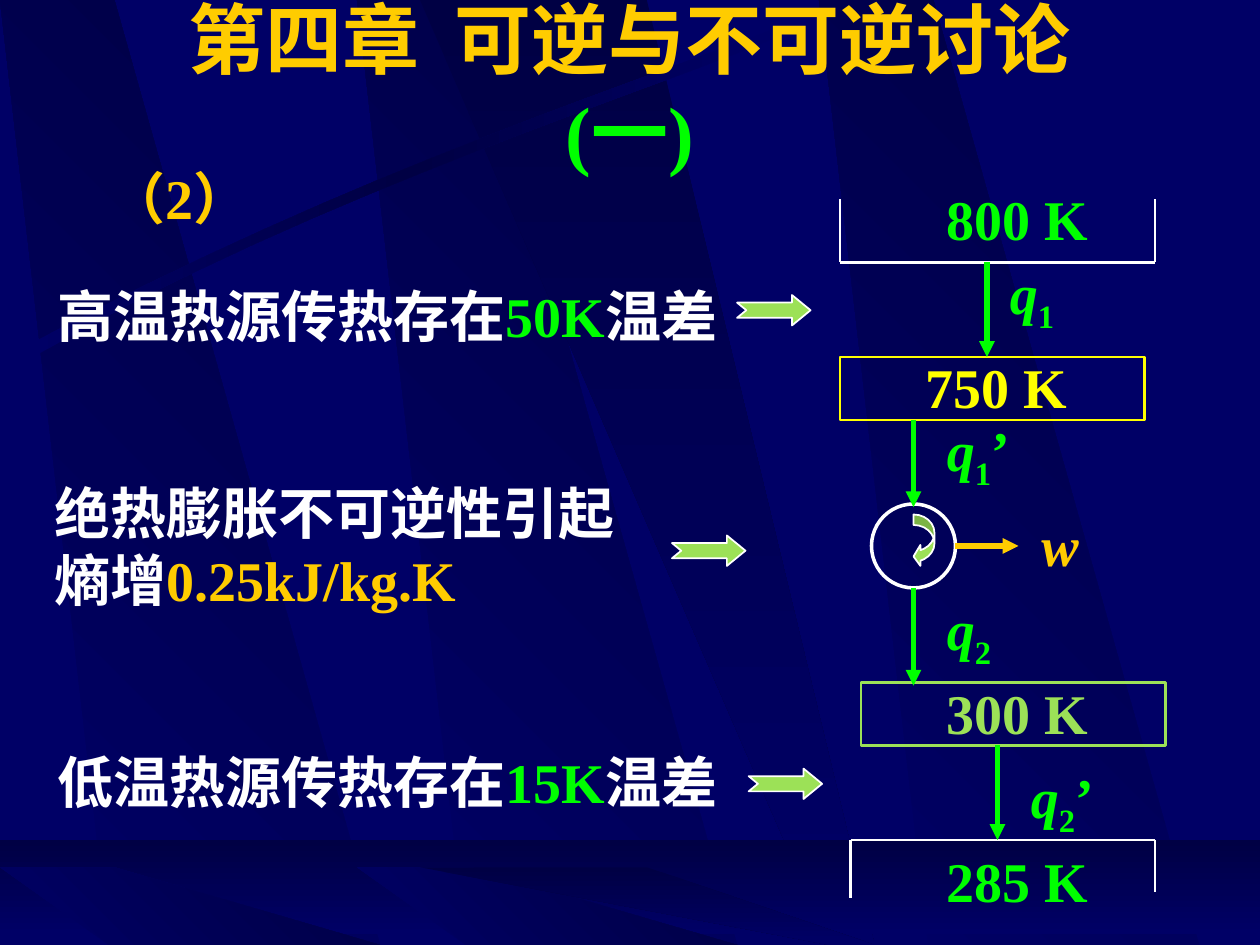
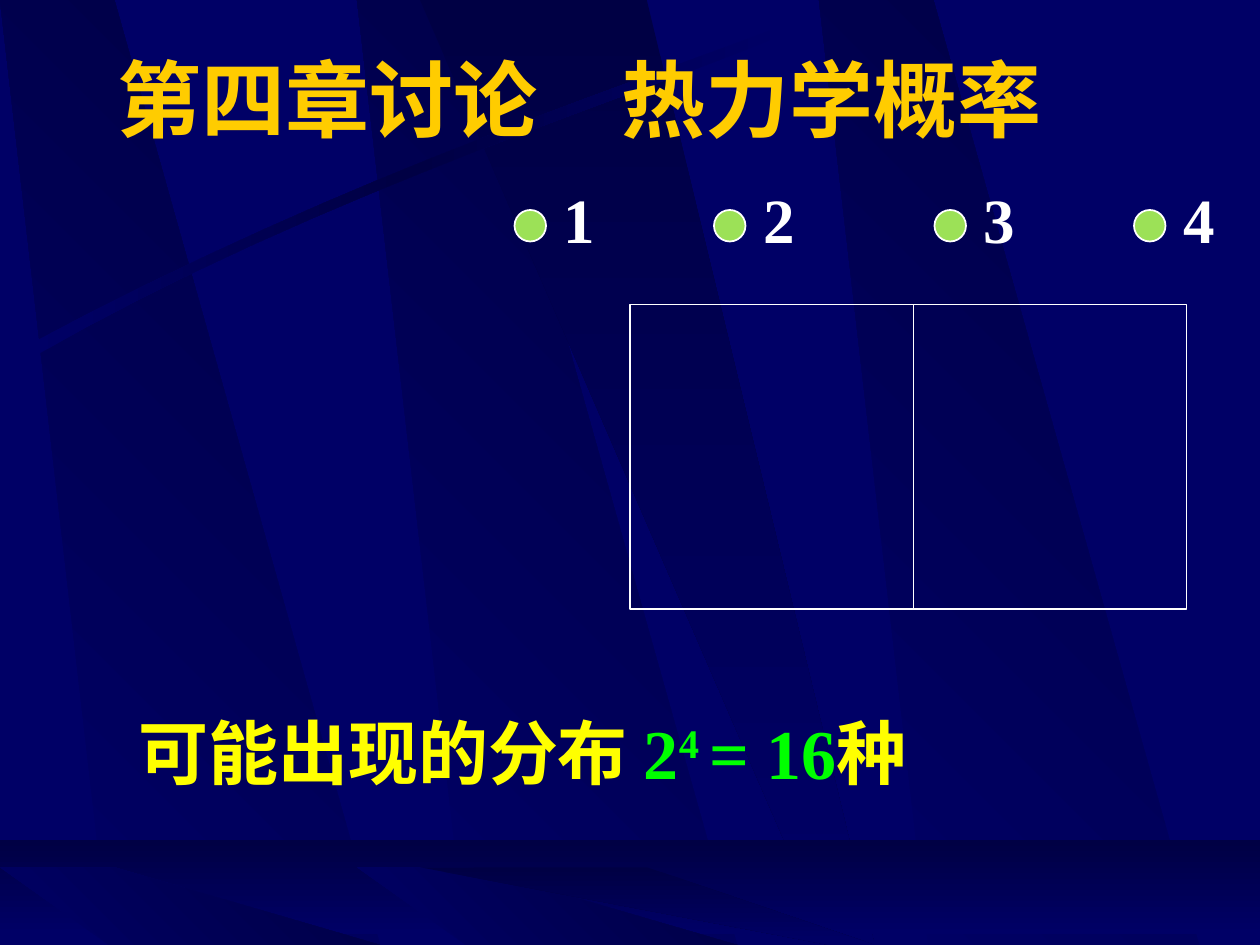
import copy

import pptx
import pptx.dml.color
import pptx.enum.shapes
import pptx.enum.text
import pptx.oxml
import pptx.oxml.ns
import pptx.util

RGBColor = pptx.dml.color.RGBColor
NAVY = RGBColor(0x00, 0x00, 0x66)
DARK = RGBColor(0x00, 0x00, 0x44)
GOLD = RGBColor(0xFF, 0xCC, 0x00)
GREEN = RGBColor(0x00, 0xFF, 0x00)
LIME = RGBColor(0x9C, 0xE1, 0x57)
YELLOW = RGBColor(0xFF, 0xFF, 0x00)
WHITE = RGBColor(0xFF, 0xFF, 0xFF)

SHAPE = pptx.enum.shapes.MSO_SHAPE
ALIGN = pptx.enum.text.PP_ALIGN
ANCHOR = pptx.enum.text.MSO_ANCHOR
GROW = pptx.enum.text.MSO_AUTO_SIZE.SHAPE_TO_FIT_TEXT
qn = pptx.oxml.ns.qn

COLUMNS, ROWS = 120, 90
CELL = pptx.util.Inches(10) // COLUMNS
TITLE_ONLY = 5
DIAGONAL, DOWN, ACROSS = 45, 270, 0
SUB, SUPER = -25, 30


def grid(*lengths):
    """Turn columns or rows into EMU."""
    return [round(length * CELL) for length in lengths]


def curve(start, bend_out, bend_in, end, steps=16):
    """Points along a cubic curve."""
    points = []
    for step in range(steps + 1):
        t = step / steps
        weights = ((1 - t) ** 3, 3 * t * (1 - t) ** 2, 3 * t * t * (1 - t), t ** 3)
        corners = (start, bend_out, bend_in, end)
        points.append(tuple(sum(w * corner[axis] for w, corner in zip(weights, corners))
                            for axis in (0, 1)))
    return points


class Painter:
    font = {"name": "Times New Roman", "bold": True}

    def __init__(self):
        self.deck = pptx.Presentation()
        self.deck.slide_width, self.deck.slide_height = grid(COLUMNS, ROWS)
        self.page = None

    def new_page(self):
        self.page = self.deck.slides.add_slide(self.deck.slide_layouts[TITLE_ONLY])

    def put_text(self, box, spans, size, align=ALIGN.LEFT, grow=False, spacing=None, before=0,
                 anchor=ANCHOR.TOP):
        """Fill a box with (text, colour, extras) spans in one paragraph."""
        frame = box.text_frame
        frame_format = {"word_wrap": True, "vertical_anchor": anchor}
        if grow:
            frame_format["auto_size"] = GROW
        for name, value in frame_format.items():
            setattr(frame, name, value)
        para = frame.paragraphs[0]
        para.alignment = align
        if spacing:
            para.line_spacing = spacing
        if before:
            para.space_before = pptx.util.Pt(0)
            gap = para._p.pPr.find(qn("a:spcBef"))
            gap.remove(gap[0])
            percent = pptx.oxml.parse_xml(
                f'<a:spcPct {pptx.oxml.ns.nsdecls("a")} val="{before * 1000}"/>')
            gap.append(percent)
        for text, color, *extras in spans:
            if text == "\n":
                para.add_line_break()
                continue
            span = para.add_run()
            span.text = text
            values = {**self.font, "size": pptx.util.Pt(size), **(extras[0] if extras else {})}
            baseline = values.pop("baseline", 0)
            for name, value in values.items():
                setattr(span.font, name, value)
            span.font.color.rgb = color
            if baseline:
                span._r.get_or_add_rPr().set("baseline", str(baseline * 1000))

    def title(self, place, spans, size, **layout):
        box = self.page.shapes.title
        for name, value in zip(("left", "top", "width", "height"), grid(*place)):
            setattr(box, name, value)
        self.put_text(box, spans, size, grow=True, **layout)

    def text(self, place, spans, size=32, **layout):
        self.put_text(self.page.shapes.add_textbox(*grid(*place)), spans, size, **layout)

    def label(self, place, spans, **layout):
        self.text(place, spans, before=20, **layout)

    def symbol(self, column, row, width, letter, index="", prime="", color=GREEN):
        """An italic letter with an optional index and prime."""
        spans = [(letter, color, {"italic": True})]
        if index:
            spans.append((index, color, {"baseline": SUB}))
        if prime:
            spans.append((prime, color))
        self.label((column, row, width, 7), spans)

    def shape(self, kind, place, fill=None, line=None, weight=1, adjust=()):
        shape = self.page.shapes.add_shape(kind, *grid(*place))
        shape.shadow.inherit = False
        for index, value in enumerate(adjust):
            shape.adjustments[index] = value
        if fill is None:
            shape.fill.background()
        else:
            shape.fill.solid()
            shape.fill.fore_color.rgb = fill
        if line is None:
            shape.line.fill.background()
        else:
            shape.line.color.rgb = line
            shape.line.width = pptx.util.Pt(weight)
        return shape

    def line(self, start, end, color=WHITE, weight=1.5, arrow=False):
        line = self.page.shapes.add_connector(
            pptx.enum.shapes.MSO_CONNECTOR.STRAIGHT, *grid(*start, *end))
        line.line.color.rgb = color
        line.line.width = pptx.util.Pt(weight)
        names = pptx.oxml.ns.nsdecls("a")
        if arrow:
            line.element.spPr.find(qn("a:ln")).append(
                pptx.oxml.parse_xml(f'<a:tailEnd {names} type="triangle"/>'))
        line.element.spPr.append(pptx.oxml.parse_xml(f"<a:effectLst {names}/>"))

    def flow(self, start, end, color=GREEN):
        self.line(start, end, color, 3, arrow=True)

    def pointer(self, column, row):
        self.shape(SHAPE.NOTCHED_RIGHT_ARROW, (column, row, 7, 2.9), LIME, WHITE,
                   adjust=(0.5, 0.61))

    def shade(self, shape, colors, angle):
        shape.fill.gradient()
        shape.fill.gradient_angle = angle
        stops = shape.element.spPr.find(".//" + qn("a:gsLst"))
        while len(stops) < len(colors):
            stops.append(copy.deepcopy(stops[-1]))
        for index, (stop, color) in enumerate(zip(shape.fill.gradient_stops, colors)):
            stop.color.rgb = color
            stop.position = index / (len(colors) - 1)

    def outline(self, points, colors, angle):
        first, *rest = [grid(*point) for point in points]
        builder = self.page.shapes.build_freeform(*first)
        builder.add_line_segments(rest, close=True)
        shape = builder.convert_to_shape()
        shape.shadow.inherit = False
        shape.line.fill.background()
        self.shade(shape, colors, angle)
        return shape

    def strip(self, left, top):
        return self.outline([(left, top), (left + 10.4, ROWS), (left + 36.2, ROWS),
                             (left + 10.9, top)], (NAVY, DARK), DIAGONAL)

    def wedge(self, top):
        return self.outline([(40, top), (79, ROWS), (83.3, ROWS), (61.6, top)],
                            (DARK, NAVY), DOWN)

    def backdrop(self):
        """Draw the shared scenery and move it to the slide master."""
        floor_top = 82.6
        scenery = [self.strip(left, 0) for left in (34, 0, 78)]
        scenery.append(self.wedge(0))
        streak = (curve((2.4, 33), (34, 16.1), (62.9, 7.1), (75.1, 2.2))
                  + curve((75.5, 2.9), (63.4, 8.3), (30.5, 18.1), (2.8, 34.2)))
        scenery.append(self.outline(streak, (NAVY, DARK, NAVY), ACROSS))
        floor = self.shape(SHAPE.RECTANGLE, (0, 80, COLUMNS, 9))
        self.shade(floor, (DARK, NAVY), DOWN)
        scenery.append(floor)
        scenery += [self.strip(left, floor_top) for left in (34, 0)]
        scenery.append(self.wedge(floor_top))
        master = self.deck.slide_master
        master.background.fill.solid()
        master.background.fill.fore_color.rgb = NAVY
        tree = master.shapes.element
        for rank, shape in enumerate(scenery):
            shape.element.nvSpPr.cNvPr.set("id", str(100 + rank))
            tree.insert(2 + rank, shape.element)


def heat_engine_page(painter):
    painter.title((9, 3, 102, 10),
                  [("第四章  可逆与不可逆讨论", GOLD), ("\n", None), ("(一)", GREEN)],
                  44, align=ALIGN.CENTER, anchor=ANCHOR.MIDDLE)

    hot_tank = [(80, 19), (80, 25), (110, 25), (110, 19)]
    cold_tank = [(81, 85.5), (81, 80), (110, 80), (110, 85)]
    for corners in (hot_tank, cold_tank):
        for start, end in zip(corners, corners[1:]):
            painter.line(start, end)
    for column, row, color in ((80, 34, YELLOW), (82, 65, LIME)):
        painter.shape(SHAPE.RECTANGLE, (column, row, 29, 6), line=color, weight=1.5)
    for column, row, width, text, color in (
            (89, 17, 19, "800 K", GREEN), (87, 33, 19, "750 K", YELLOW),
            (89, 64, 19, "300 K", LIME), (89, 80, 16, "285 K", GREEN)):
        painter.label((column, row, width, 7), [(text, color)])

    painter.shape(SHAPE.OVAL, (83, 48, 8, 8), line=WHITE, weight=2)
    painter.shape(SHAPE.CURVED_LEFT_ARROW, (87, 49, 2, 5), LIME, WHITE, adjust=(0.5, 1, 0.33))
    for column, top, bottom in ((94, 25, 34), (87, 40, 48.3), (87, 56, 65.3), (95, 71, 80)):
        painter.flow((column, top), (column, bottom))
    painter.flow((91, 52), (97, 52), GOLD)

    painter.symbol(95, 24, 18, "q", "1")
    painter.symbol(89, 39, 10, "q", "1", "’")
    painter.symbol(89, 56, 7, "q", "2")
    painter.symbol(97, 72, 9, "q", "2", "’")
    painter.symbol(98, 48, 7, "w", color=GOLD)

    for row, source, gap in ((26.2, "高温", "50K"), (70.6, "低温", "15K")):
        painter.label((4.2, row, 65.4, 7.5),
                      [(source + "热源传热存在", WHITE), (gap, GREEN), ("温差", WHITE)],
                      align=ALIGN.CENTER, grow=True)
    painter.label((4, 45, 56, 14),
                  [("绝热膨胀不可逆性引起熵增", WHITE), ("0.25kJ/kg.K", GOLD)], grow=True)
    for column, row in ((70.2, 28.1), (64, 51), (71.3, 73.2)):
        painter.pointer(column, row)
    painter.label((5.2, 15, 23.8, 7.5), [("（2）", GOLD)], align=ALIGN.CENTER, grow=True)


def probability_page(painter):
    painter.title((10, 3, 103, 11.8), [("第四章讨论　热力学概率", GOLD)], 48, spacing=1.1)
    painter.shape(SHAPE.RECTANGLE, (60, 29, 53, 29), line=WHITE)
    painter.line((87, 29), (87, 58), weight=1)
    for number, column in enumerate((49, 68, 89, 108), start=1):
        painter.shape(SHAPE.OVAL, (column, 20, 3, 3), LIME, WHITE)
        painter.text((column + 3.5, 18, 6, 7), [(str(number), WHITE)], 36,
                     spacing=0.8, grow=True)
    painter.text((12, 67, 99, 9.2),
                 [("可能出现的分布 ", YELLOW), ("2", GREEN), ("4 ", GREEN, {"baseline": SUPER}),
                  ("= 16", GREEN), ("种", YELLOW)], 40, grow=True)


def main():
    painter = Painter()
    painter.new_page()
    painter.backdrop()
    heat_engine_page(painter)
    painter.new_page()
    probability_page(painter)
    painter.deck.save("out.pptx")


if __name__ == "__main__":
    main()
